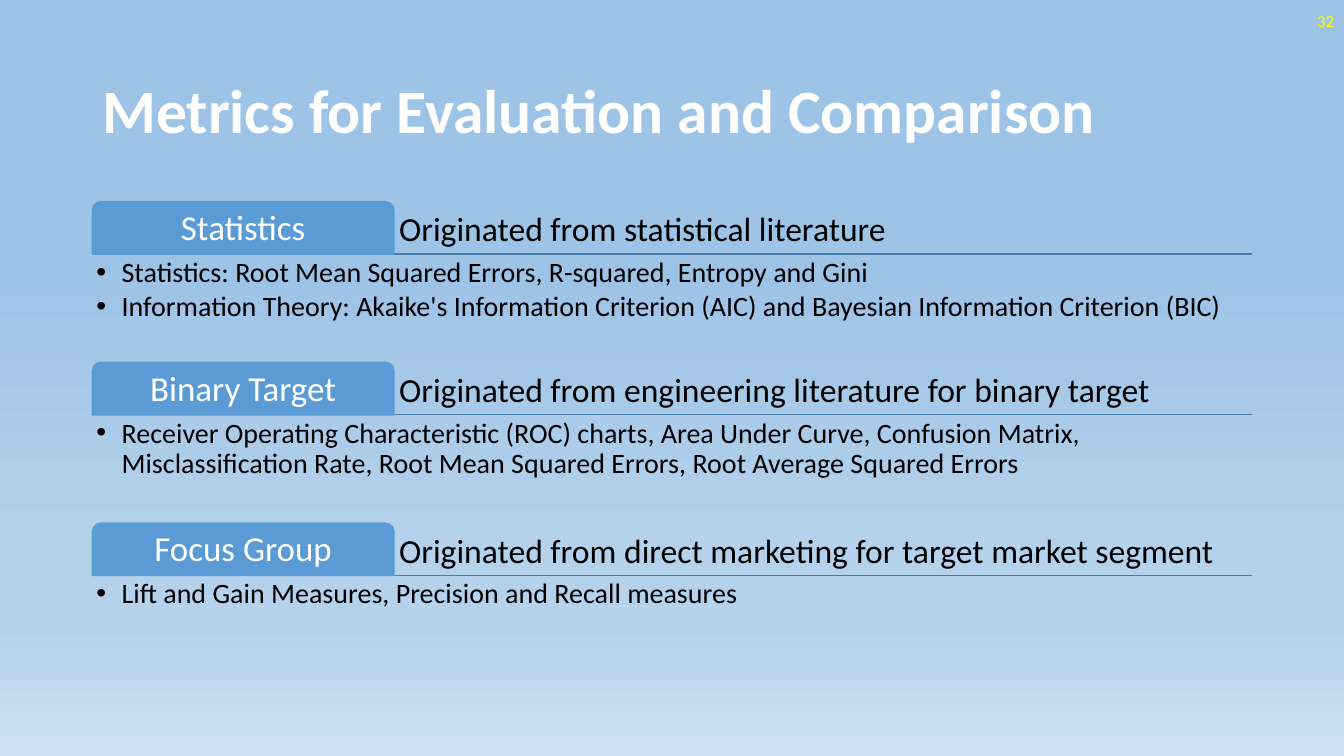
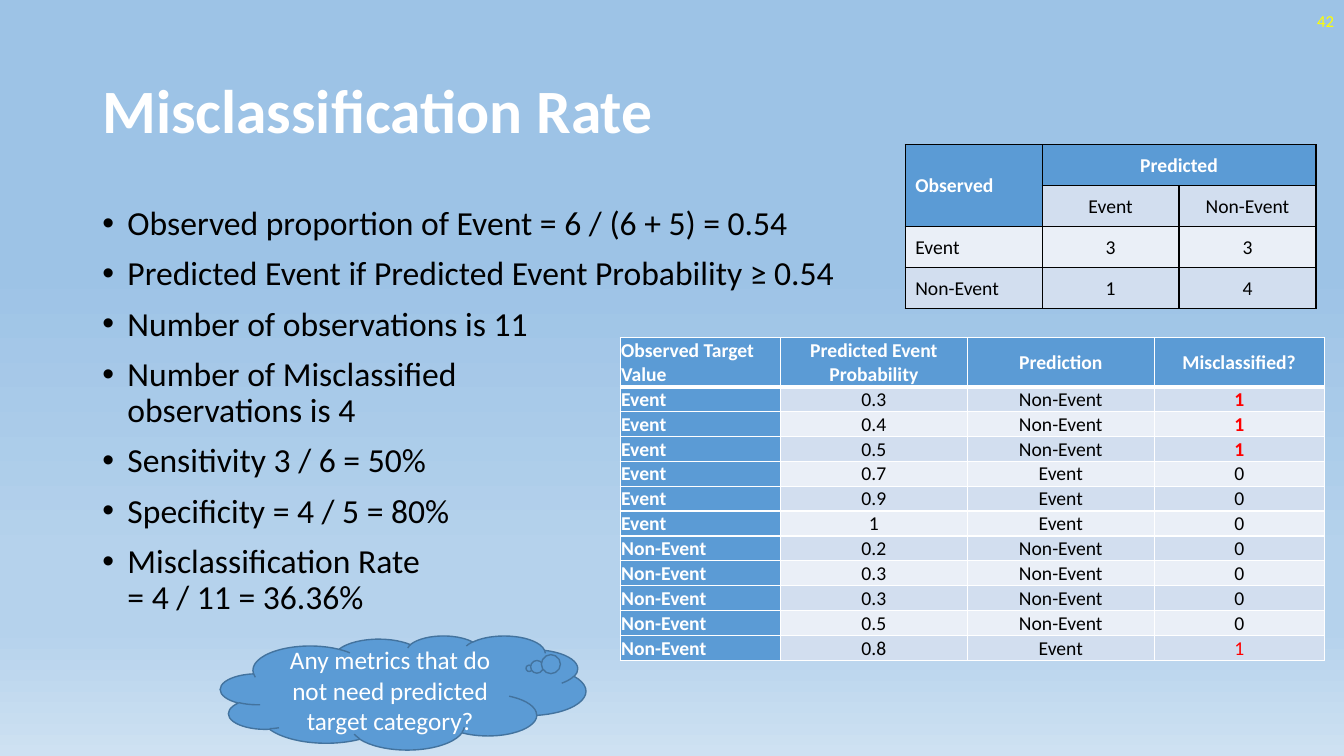
from lxml.etree import SubElement
from pptx import Presentation
from pptx.dml.color import RGBColor
from pptx.enum.shapes import MSO_CONNECTOR as Line, MSO_SHAPE as Shape
from pptx.enum.text import MSO_ANCHOR as Anchor, PP_ALIGN as Align
from pptx.oxml.ns import qn
from pptx.util import Pt

COLORS = {
    "title": "FFFFFF", "text": "000000", "page": "FFFF00", "accent": "5B9BD5",
    "rule": "497CAB", "cloud_line": "43739E", "alert": "FF0000",
    "band_dark": "D2DEEF", "band_light": "EAEFF7",
}
BACKGROUND = [(35, "9DC3E6"), (74, "B5D2EC"), (83, "B5D2EC"), (100, "CEE1F2")]
FONT = "Calibri"
WIDTH, HEIGHT = 960, 540
TITLE_BOX = (66, 29, 828, 104)
PAGE_BOX = (744, 0, 216, 29)
CONTENT_LEFT, CONTENT_TOP, CONTENT_WIDTH = 66, 144, 828
THRESHOLD = 0.54

TOPICS = [
    ("Statistics", "Originated from statistical literature", [
        "Statistics: Root Mean Squared Errors, R-squared, Entropy and Gini",
        "Information Theory: Akaike's Information Criterion (AIC) and "
        "Bayesian Information Criterion (BIC)"]),
    ("Binary Target", "Originated from engineering literature for binary target", [
        "Receiver Operating Characteristic (ROC) charts, Area Under Curve, "
        "Confusion Matrix, Misclassification Rate, Root Mean Squared Errors, "
        "Root Average Squared Errors"]),
    ("Focus Group", "Originated from direct marketing for target market segment", [
        "Lift and Gain Measures, Precision and Recall measures"]),
]
FINDINGS = [
    "Observed proportion of Event = 6 / (6 + 5) = 0.54",
    "Predicted Event if Predicted Event Probability ≥ 0.54",
    "Number of observations is 11",
    "Number of Misclassified\vobservations is 4",
    "Sensitivity 3 / 6 = 50%",
    "Specificity = 4 / 5 = 80%",
    "Misclassification Rate\v= 4 / 11 = 36.36%",
]
PROBABILITIES = {
    "Event": [0.3, 0.4, 0.5, 0.7, 0.9, 1],
    "Non-Event": [0.2, 0.3, 0.3, 0.5, 0.8],
}
CASE_HEADINGS = ["Observed Target Value", "Predicted Event Probability",
                 "Prediction", "Misclassified?"]
CONFUSION = [
    ["Observed", "Predicted", ""],
    ["", "Event", "Non-Event"],
    ["Event", "3", "3"],
    ["Non-Event", "1", "4"],
]


def rgb(name):
    return RGBColor.from_string(COLORS[name])


def apply(target, values):
    for name, value in values.items():
        setattr(target, name, value)


def insets(size):
    return {f"margin_{side}": Pt(size) for side in ("left", "top", "right", "bottom")}


def write(frame, paragraphs, size, color="text", bold=False, bullet=False,
          gap_before=0, gap_after=0, **layout):
    for i, words in enumerate(paragraphs):
        paragraph = frame.paragraphs[0] if i == 0 else frame.add_paragraph()
        paragraph.text = words
        if bullet:
            props = paragraph._p.get_or_add_pPr()
            props.set("marL", str(Pt(18)))
            props.set("indent", str(Pt(-18)))
            SubElement(props, qn("a:buFont"), typeface="Arial")
            SubElement(props, qn("a:buChar"), char="•")
        apply(paragraph, {"space_before": Pt(gap_before if i else 0),
                          "space_after": Pt(gap_after), **layout})
        apply(paragraph.font, {"name": FONT, "size": Pt(size), "bold": bold})
        paragraph.font.color.rgb = rgb(color)


def add_text(slide, box, paragraphs, size, anchor=Anchor.TOP, margins=None, **style):
    frame = slide.shapes.add_textbox(*map(Pt, box)).text_frame
    apply(frame, {"word_wrap": True, "vertical_anchor": anchor, **(margins or {})})
    write(frame, paragraphs, size, **style)


def add_panel(slide, kind, box, line, adjustments, words, size, **style):
    panel = slide.shapes.add_shape(kind, *map(Pt, box))
    panel.shadow.inherit = False
    panel.fill.solid()
    panel.fill.fore_color.rgb = rgb("accent")
    panel.line.color.rgb = rgb(line)
    panel.line.width = Pt(1)
    for i, value in enumerate(adjustments):
        panel.adjustments[i] = value
    apply(panel.text_frame, {"word_wrap": True, "vertical_anchor": Anchor.MIDDLE})
    write(panel.text_frame, [words], size, color="title",
          alignment=Align.CENTER, **style)
    return panel


def add_rule(slide, left, right, y):
    rule = slide.shapes.add_connector(Line.STRAIGHT, Pt(left), Pt(y), Pt(right), Pt(y))
    rule.line.color.rgb = rgb("rule")
    rule.line.width = Pt(1)
    SubElement(rule._element.spPr, qn("a:effectLst"))


def set_background(master):
    fill = master.background.fill
    fill.gradient()
    fill.gradient_angle = 270
    stops = master.element.find(".//" + qn("p:bg")).find(".//" + qn("a:gsLst"))
    for stop in list(stops):
        stops.remove(stop)
    for position, color in BACKGROUND:
        stop = SubElement(stops, qn("a:gs"), pos=str(position * 1000))
        SubElement(stop, qn("a:srgbClr"), val=color)


def start_slide(deck, title, page):
    slide = deck.slides.add_slide(deck.slide_layouts[6])
    add_text(slide, TITLE_BOX, [title], 44, Anchor.MIDDLE,
             color="title", bold=True, line_spacing=0.9)
    add_text(slide, PAGE_BOX, [page], 12, Anchor.MIDDLE,
             color="page", alignment=Align.RIGHT)
    return slide


def add_topic(slide, box, name, origin, metrics):
    left, top, width, height = box
    tab_width, tab_height = 215.5, 37.5
    rule_y = top + tab_height
    add_rule(slide, left, left + width, rule_y)
    add_text(slide, (left + tab_width, top, width - tab_width, tab_height), [origin],
             24, Anchor.BOTTOM, insets(3.6), line_spacing=0.9)
    tab = add_panel(slide, Shape.ROUND_2_SAME_RECTANGLE,
                    (left, top, tab_width, tab_height), "accent", [0.167, 0],
                    name, 25, line_spacing=0.9)
    apply(tab.text_frame, insets(3.6))
    add_text(slide, (left, rule_y, width, height - tab_height), metrics, 20,
             margins=insets(2.9), bullet=True, gap_after=3, line_spacing=0.9)


def set_borders(cell, color, widths):
    props = cell._tc.get_or_add_tcPr()
    for side in "LRTB":
        edge = SubElement(props, qn(f"a:ln{side}"), w=str(Pt(widths.get(side, 1))))
        fill = SubElement(edge, qn("a:solidFill"))
        SubElement(fill, qn("a:srgbClr"), val=COLORS[color])


def add_grid(slide, box, columns, heights, rows, border, style_of, margins=None,
             header_line=1):
    """style_of(row, column) returns the fill and the text style of a cell."""
    table = slide.shapes.add_table(len(rows), len(columns), *map(Pt, box)).table
    apply(table, {"first_row": False, "horz_banding": False})
    for column, width in zip(table.columns, columns):
        column.width = Pt(width)
    for row, height in zip(table.rows, heights):
        row.height = Pt(height)
    for r, values in enumerate(rows):
        edges = {0: {"B": header_line}, 1: {"T": header_line}}.get(r, {})
        for c, words in enumerate(values):
            cell = table.cell(r, c)
            fill, style = style_of(r, c)
            apply(cell, {"vertical_anchor": Anchor.MIDDLE, **(margins or {})})
            set_borders(cell, border, edges)
            cell.fill.solid()
            cell.fill.fore_color.rgb = rgb(fill)
            write(cell.text_frame, [words], 14,
                  alignment=Align.CENTER if c else Align.LEFT, **style)
    return table


def band(row):
    return "band_dark" if row % 2 else "band_light"


HEADING = ("accent", {"color": "title", "bold": True})


def add_case_table(slide, left, top):
    rows = [CASE_HEADINGS]
    for observed, probabilities in PROBABILITIES.items():
        for probability in probabilities:
            prediction = "Event" if probability >= THRESHOLD else "Non-Event"
            missed = str(int(prediction != observed))
            rows.append([observed, str(probability), prediction, missed])

    def style_of(r, c):
        if r == 0 or c == 0:
            return HEADING
        if c == 3 and rows[r][c] == "1":
            return band(r), {"color": "alert", "bold": rows[r][0] == "Event"}
        return band(r), {}

    columns = [114.5, 133.5, 133.5, 121.5]
    heights = [35] + [17.8] * (len(rows) - 1)
    add_grid(slide, (left, top, sum(columns), sum(heights)), columns, heights, rows,
             "title", style_of, {**insets(0.7), "margin_bottom": 0}, header_line=3)


def add_confusion_table(slide, left, top):
    def style_of(r, c):
        return HEADING if r == 0 or (r, c) == (1, 0) else (band(r), {})

    columns, heights = [97.8] * 3, [29.3] * 4
    table = add_grid(slide, (left, top, sum(columns), sum(heights)), columns, heights,
                     CONFUSION, "text", style_of)
    table.cell(0, 0).merge(table.cell(1, 0))
    table.cell(0, 1).merge(table.cell(0, 2))


def build_metrics(deck):
    slide = start_slide(deck, "Metrics for Evaluation and Comparison", "32")
    pitch, height = 114.8, 113
    for i, topic in enumerate(TOPICS):
        add_topic(slide, (CONTENT_LEFT, CONTENT_TOP + i * pitch, CONTENT_WIDTH, height),
                  *topic)


def build_misclassification(deck):
    slide = start_slide(deck, "Misclassification Rate", "42")
    # Findings
    add_text(slide, (CONTENT_LEFT, CONTENT_TOP, CONTENT_WIDTH, 343), FINDINGS, 24,
             bullet=True, gap_before=10, line_spacing=0.9)
    # Cases and confusion matrix
    add_case_table(slide, 443, 241.2)
    add_confusion_table(slide, 646.6, 103.5)
    # Closing question
    add_panel(slide, Shape.CLOUD_CALLOUT, (157.5, 454, 261, 81.5), "cloud_line",
              [0.345, -0.213],
              "Any metrics that do not need predicted target category?", 18)


def main():
    deck = Presentation()
    apply(deck, {"slide_width": Pt(WIDTH), "slide_height": Pt(HEIGHT)})
    set_background(deck.slide_master)
    build_metrics(deck)
    build_misclassification(deck)
    deck.save("out.pptx")


if __name__ == "__main__":
    main()
